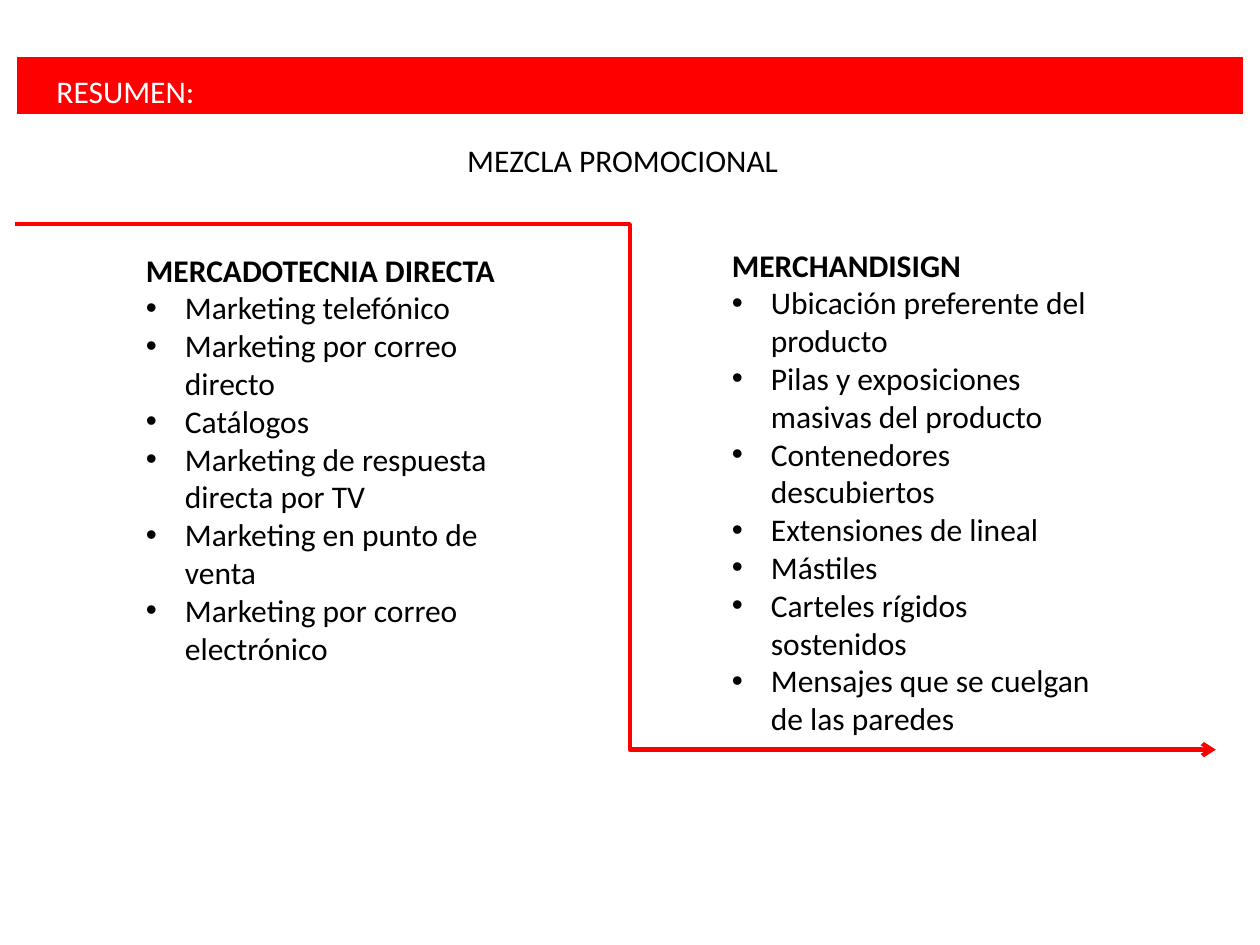
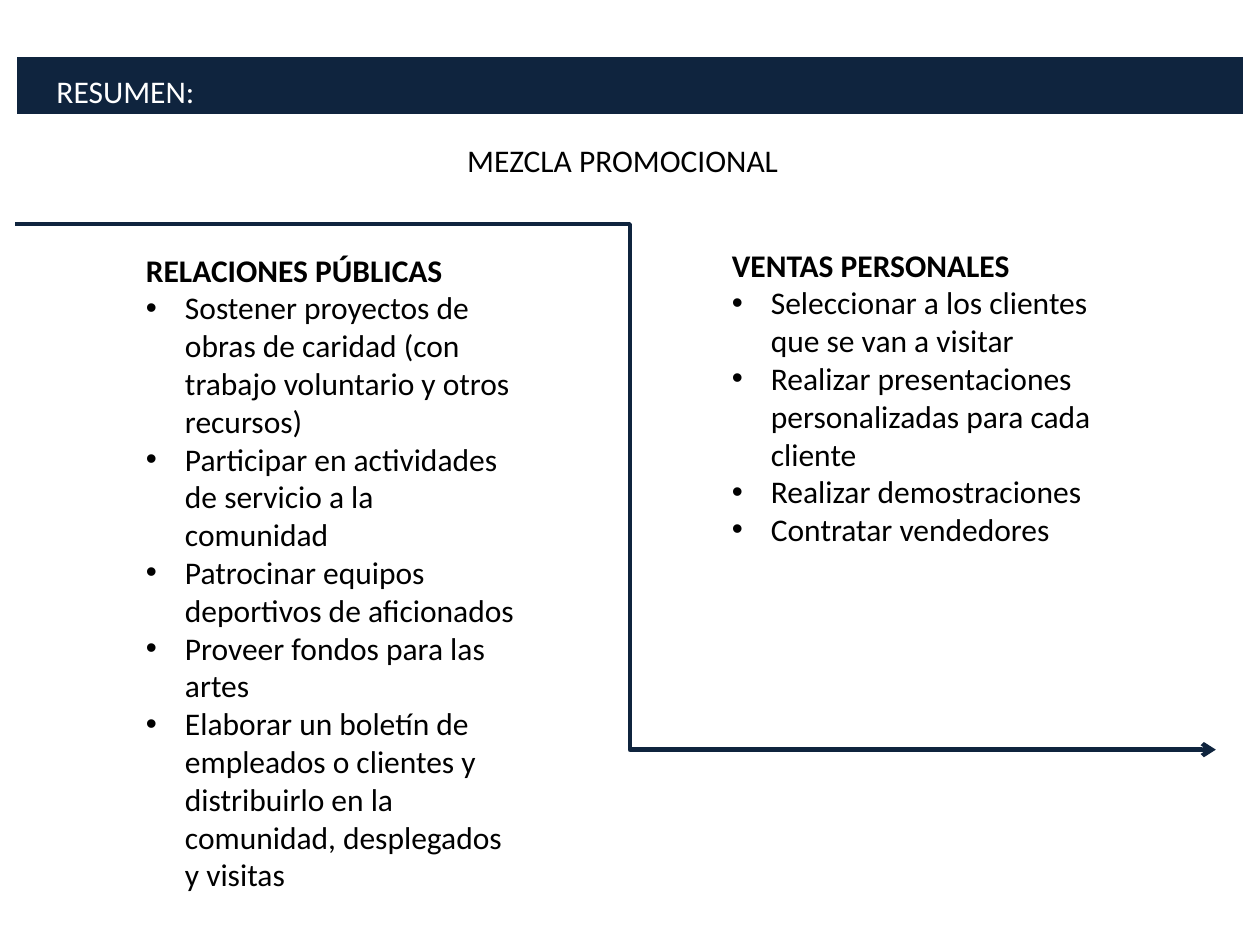
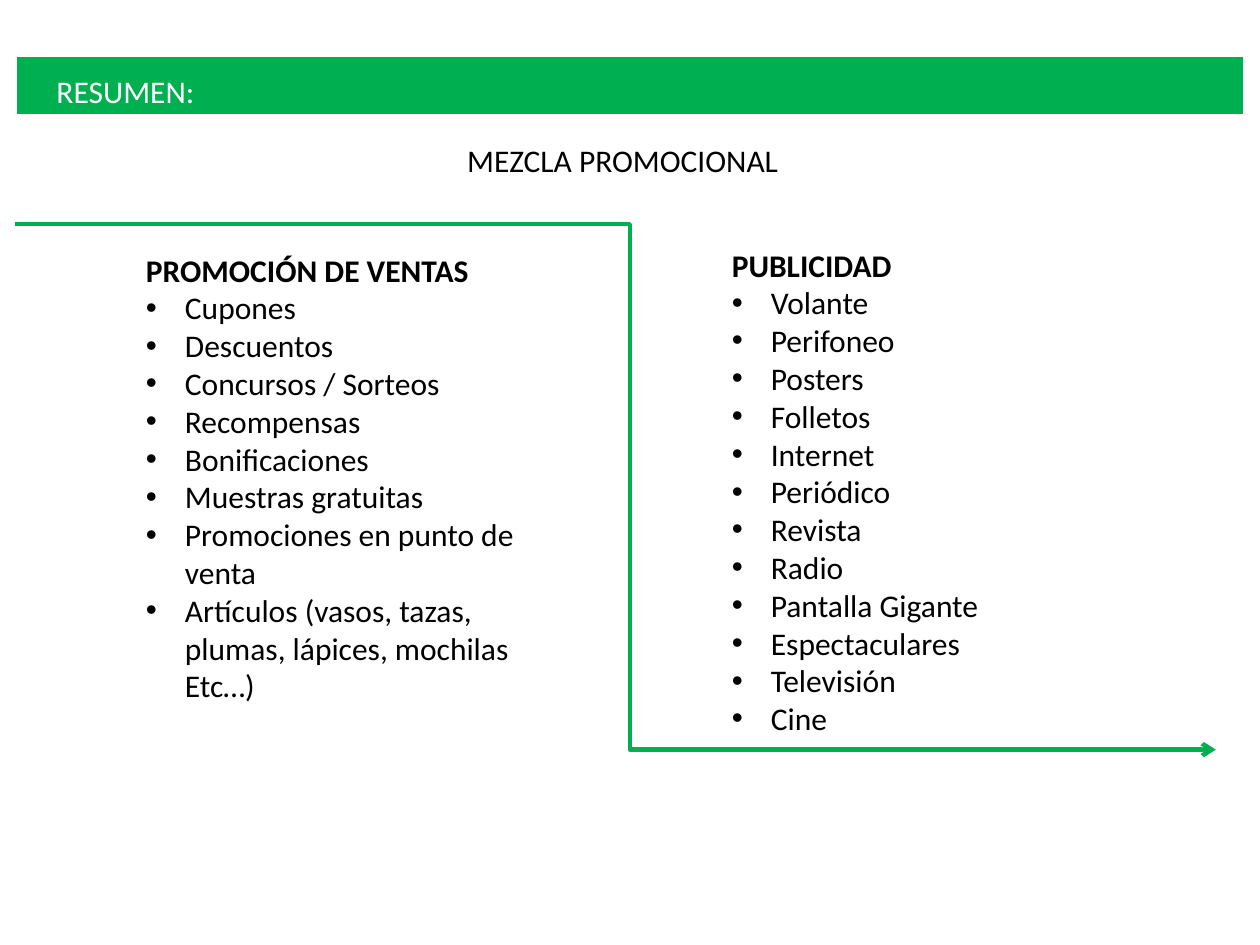
from dataclasses import dataclass

from lxml.etree import SubElement
from pptx import Presentation
from pptx.dml.color import RGBColor
from pptx.enum.shapes import MSO_CONNECTOR, MSO_SHAPE
from pptx.enum.text import MSO_AUTO_SIZE
from pptx.oxml.ns import qn
from pptx.util import Inches, Pt


@dataclass(frozen=True)
class Theme:
    font: str = "Calibri"
    size: int = 18
    text: str = "000000"
    white: str = "FFFFFF"
    red: str = "FF0000"
    navy: str = "0F243E"
    green: str = "00B050"
    border: float = 2
    path_width: float = 2.5
    indent: float = 0.31


theme = Theme()

# Accent colour, then each column: box width, box height, heading, bullets
summaries = [
    (theme.red, [
        (3.15, 4.34, "MERCADOTECNIA DIRECTA", [
            "Marketing telefónico",
            "Marketing por correo directo",
            "Catálogos",
            "Marketing de respuesta directa por TV",
            "Marketing en punto de venta",
            "Marketing por correo electrónico",
        ]),
        (3.15, 5.55, "MERCHANDISIGN", [
            "Ubicación preferente del producto",
            "Pilas y exposiciones masivas del producto",
            "Contenedores descubiertos",
            "Extensiones de lineal",
            "Mástiles",
            "Carteles rígidos sostenidos",
            "Mensajes que se cuelgan de las paredes",
        ]),
    ]),
    (theme.navy, [
        (3.15, 6.16, "RELACIONES PÚBLICAS", [
            "Sostener proyectos de obras de caridad (con trabajo voluntario y otros recursos)",
            "Participar en actividades de servicio a la comunidad",
            "Patrocinar equipos deportivos de aficionados",
            "Proveer fondos para las artes",
            "Elaborar un boletín de empleados o clientes y distribuirlo en la comunidad, "
            "desplegados y visitas",
        ]),
        (3.15, 4.04, "VENTAS PERSONALES", [
            "Seleccionar a los clientes que se van a visitar",
            "Realizar presentaciones personalizadas para cada cliente",
            "Realizar demostraciones",
            "Contratar vendedores",
        ]),
    ]),
    (theme.green, [
        (3.15, 5.55, "PROMOCIÓN DE VENTAS", [
            "Cupones",
            "Descuentos",
            "Concursos / Sorteos",
            "Recompensas",
            "Bonificaciones",
            "Muestras gratuitas",
            "Promociones en punto de venta",
            "Artículos (vasos, tazas, plumas, lápices, mochilas Etc…)",
        ]),
        (3.07, 4.04, "PUBLICIDAD", [
            "Volante",
            "Perifoneo",
            "Posters",
            "Folletos",
            "Internet",
            "Periódico",
            "Revista",
            "Radio",
            "Pantalla Gigante",
            "Espectaculares",
            "Televisión",
            "Cine",
        ]),
    ]),
]
column_corners = [(1.06, 1.94), (5.71, 1.9)]


def add_text(slide, left, top, width, height, heading, bullets=(), color=theme.text):
    """Add a text box with a heading, bold when bullets follow it."""
    box = slide.shapes.add_textbox(Inches(left), Inches(top), Inches(width), Inches(height))
    tf = box.text_frame
    tf.word_wrap = True
    tf.auto_size = MSO_AUTO_SIZE.SHAPE_TO_FIT_TEXT
    for i, text in enumerate([heading, *bullets]):
        p = tf.add_paragraph() if i else tf.paragraphs[0]
        r = p.add_run()
        r.text = text
        r.font.name = theme.font
        r.font.size = Pt(theme.size)
        r.font.bold = bool(bullets) and i == 0
        r.font.color.rgb = RGBColor.from_string(color)
        if i:
            pPr = p._p.get_or_add_pPr()
            pPr.set("marL", str(Inches(theme.indent)))
            pPr.set("indent", str(-Inches(theme.indent)))
            SubElement(pPr, qn("a:buFont"), typeface="Arial")
            SubElement(pPr, qn("a:buChar"), char="•")


prs = Presentation()
prs.slide_width, prs.slide_height = Inches(10), Inches(7.5)

for accent, columns in summaries:
    slide = prs.slides.add_slide(prs.slide_layouts[6])
    accent_rgb = RGBColor.from_string(accent)

    band = slide.shapes.add_shape(
        MSO_SHAPE.RECTANGLE, Inches(0.12), Inches(0.44), Inches(9.76), Inches(0.48))
    band.shadow.inherit = False
    band.fill.solid()
    band.fill.fore_color.rgb = accent_rgb
    band.line.color.rgb = RGBColor.from_string(theme.white)
    band.line.width = Pt(theme.border)

    add_text(slide, 0.35, 0.52, 7.8, 0.4, "RESUMEN:", color=theme.white)
    add_text(slide, 3.61, 1.07, 2.76, 0.4, "MEZCLA PROMOCIONAL")
    for (left, top), column in zip(column_corners, columns):
        add_text(slide, left, top, *column)

    arrow = slide.shapes.add_connector(
        MSO_CONNECTOR.ELBOW, Inches(0.12), Inches(1.78), Inches(9.65), Inches(5.95))
    arrow.line.color.rgb = accent_rgb
    arrow.line.width = Pt(theme.path_width)
    SubElement(arrow.line._get_or_add_ln(), qn("a:tailEnd"), type="arrow")
    spPr = arrow._element.spPr
    SubElement(spPr, qn("a:effectLst"))
    bend = spPr.find(qn("a:prstGeom")).get_or_add_avLst()
    SubElement(bend, qn("a:gd"), name="adj1", fmla="val 51200")

prs.save("out.pptx")
